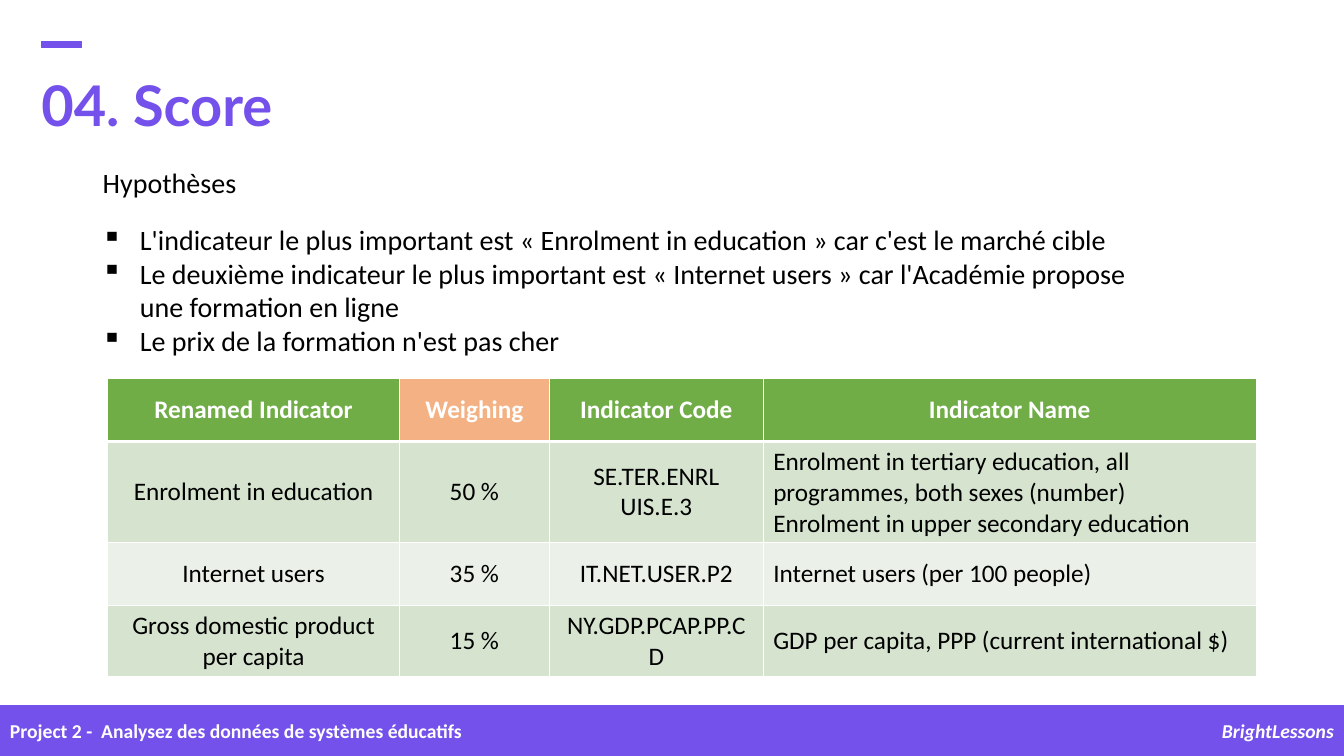
"""Build the score slide with its hypotheses and weighting table."""
from lxml import etree
from pptx import Presentation
from pptx.dml.color import RGBColor
from pptx.enum import shapes, text
from pptx.oxml import ns
from pptx.util import Inches, Pt

PURPLE = RGBColor(0x74, 0x51, 0xEB)
WHITE = RGBColor(0xFF, 0xFF, 0xFF)
BLACK = RGBColor(0, 0, 0)
GREEN = RGBColor(0x70, 0xAD, 0x47)
ORANGE = RGBColor(0xF4, 0xB1, 0x83)
SAGE = RGBColor(0xD5, 0xE3, 0xCF)
PALE_SAGE = RGBColor(0xEB, 0xF1, 0xE9)

LEFT, CENTER, RIGHT = text.PP_ALIGN.LEFT, text.PP_ALIGN.CENTER, text.PP_ALIGN.RIGHT

HYPOTHESES = [
    "L'indicateur le plus important est « Enrolment in education » car c'est le marché cible",
    "Le deuxième indicateur le plus important est « Internet users » car l'Académie propose une formation en ligne",
    "Le prix de la formation n'est pas cher",
]
INDICATORS = [
    ["Renamed Indicator", "Weighing", "Indicator Code", "Indicator Name"],
    ["Enrolment in education", "50 %", "SE.TER.ENRL\nUIS.E.3",
     "Enrolment in tertiary education, all programmes, both sexes (number)\nEnrolment in upper secondary education"],
    ["Internet users", "35 %", "IT.NET.USER.P2", "Internet users (per 100 people)"],
    ["Gross domestic product per capita", "15 %", "NY.GDP.PCAP.PP.CD",
     "GDP per capita, PPP (current international $)"],
]
COLUMN_WIDTHS = [2.89, 1.49, 2.12, 4.89]
ROW_HEIGHTS = [0.63, 1, 0.63, 0.69]


def box(left, top, width, height):
    return Inches(left), Inches(top), Inches(width), Inches(height)


def format_paragraph(paragraph, size, color, align=LEFT, bold=False, italic=False, font="Calibri"):
    paragraph.alignment = align
    for run in paragraph.runs:
        run.font.name = font
        run.font.size = Pt(size)
        run.font.bold = bold
        run.font.italic = italic
        run.font.color.rgb = color


def add_title(slide, wording):
    title = slide.shapes.title
    title.left, title.top, title.width, title.height = box(0.31, 0.47, 12.15, 1.21)
    frame = title.text_frame
    frame.text = wording
    frame.auto_size = text.MSO_AUTO_SIZE.NONE
    frame.vertical_anchor = text.MSO_ANCHOR.MIDDLE
    frame.paragraphs[0].line_spacing = 0.9
    format_paragraph(frame.paragraphs[0], 40, PURPLE, bold=True, font="Lato")


def add_bar(slide, *place):
    bar = slide.shapes.add_shape(shapes.MSO_SHAPE.RECTANGLE, *box(*place))
    bar.shadow.inherit = False
    bar.fill.solid()
    bar.fill.fore_color.rgb = PURPLE
    bar.line.color.rgb = PURPLE
    bar.line.width = Pt(1)


def add_text(slide, place, wording, size, color, **style):
    frame = slide.shapes.add_textbox(*box(*place)).text_frame
    frame.word_wrap = True
    frame.text = wording
    for paragraph in frame.paragraphs:
        format_paragraph(paragraph, size, color, **style)
    return frame


def add_bullets(frame):
    for paragraph in frame.paragraphs:
        properties = paragraph._p.get_or_add_pPr()
        properties.set("marL", str(Inches(0.38)))
        properties.set("indent", str(Inches(-0.38)))
        etree.SubElement(properties, ns.qn("a:buChar"), char="▪")


def set_borders(cell, top, bottom):
    properties = cell._tc.get_or_add_tcPr()
    for position, (side, width) in enumerate([("L", 1), ("R", 1), ("T", top), ("B", bottom)]):
        border = etree.Element(ns.qn(f"a:ln{side}"), w=str(Pt(width)))
        fill = etree.SubElement(border, ns.qn("a:solidFill"))
        etree.SubElement(fill, ns.qn("a:srgbClr"), val=str(WHITE))
        properties.insert(position, border)


def cell_fill(row, column):
    if row == 0:
        return ORANGE if column == 1 else GREEN
    return SAGE if row % 2 else PALE_SAGE


def add_indicator_table(slide):
    place = box(1.07, 3.75, sum(COLUMN_WIDTHS), sum(ROW_HEIGHTS))
    table = slide.shapes.add_table(len(ROW_HEIGHTS), len(COLUMN_WIDTHS), *place).table
    for column, width in zip(table.columns, COLUMN_WIDTHS):
        column.width = Inches(width)
    for row, height in zip(table.rows, ROW_HEIGHTS):
        row.height = Inches(height)
    for row, values in enumerate(INDICATORS):
        header = row == 0
        for column, value in enumerate(values):
            cell = table.cell(row, column)
            cell.vertical_anchor = text.MSO_ANCHOR.MIDDLE
            cell.fill.solid()
            cell.fill.fore_color.rgb = cell_fill(row, column)
            set_borders(cell, top=3 if row == 1 else 1, bottom=3 if header else 1)
            paragraph = cell.text_frame.paragraphs[0]
            paragraph.text = value
            align = CENTER if header or column < 3 else LEFT
            format_paragraph(paragraph, 18, WHITE if header else BLACK, align, bold=header)


def main():
    deck = Presentation()
    deck.slide_width, deck.slide_height = Inches(13.33), Inches(7.5)
    slide = deck.slides.add_slide(deck.slide_layouts.get_by_name("Title Only"))
    add_title(slide, "04. Score")
    add_bar(slide, 0.41, 0.41, 0.4, 0.06)
    add_bar(slide, 0, 7, 13.33, 0.5)
    add_text(slide, (0, 7.08, 4.85, 0.34), "Project 2 -  Analysez des données de systèmes éducatifs",
             14, WHITE, bold=True)
    add_text(slide, (11.53, 7.08, 1.8, 0.34), "BrightLessons", 14, WHITE,
             align=RIGHT, bold=True, italic=True)
    add_indicator_table(slide)
    add_text(slide, (0.92, 1.59, 7.75, 0.44), "Hypothèses", 20, BLACK)
    add_bullets(add_text(slide, (0.91, 2.16, 10.62, 1.78), "\n".join(HYPOTHESES), 20, BLACK))
    deck.save("out.pptx")


if __name__ == "__main__":
    main()
